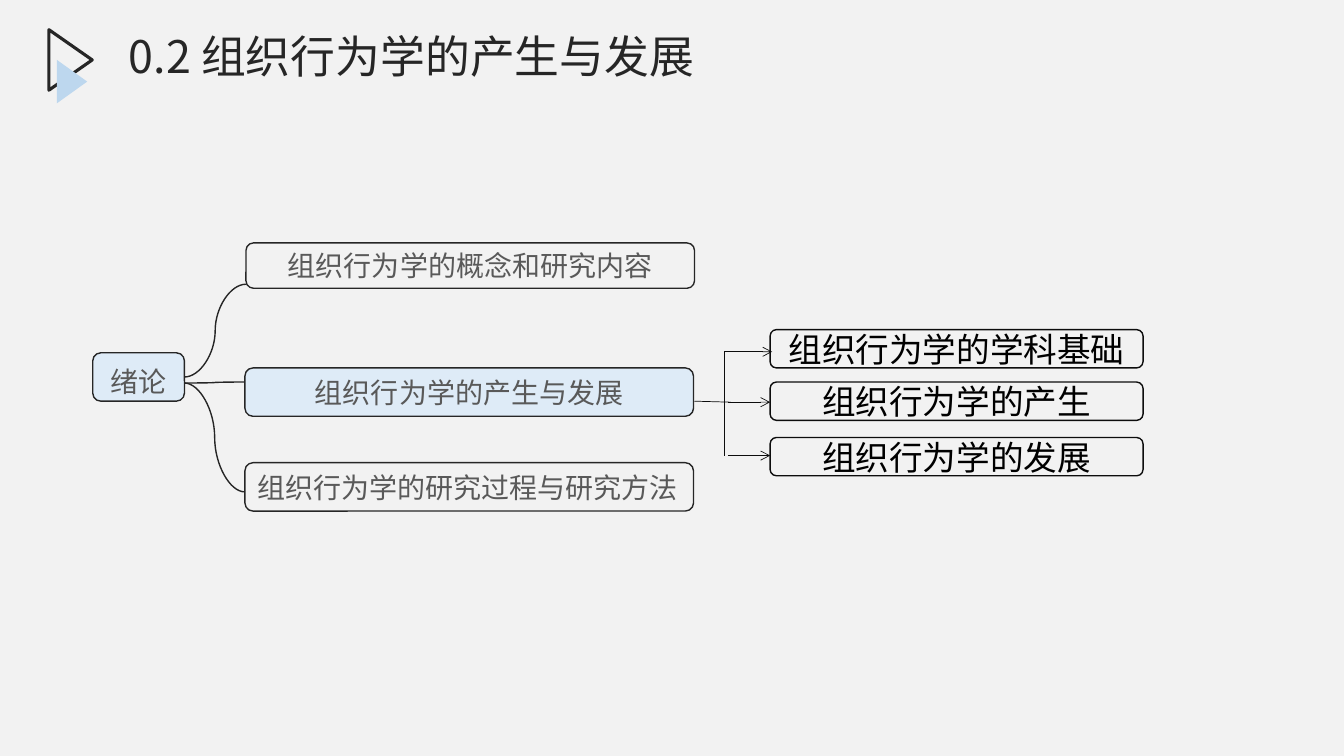
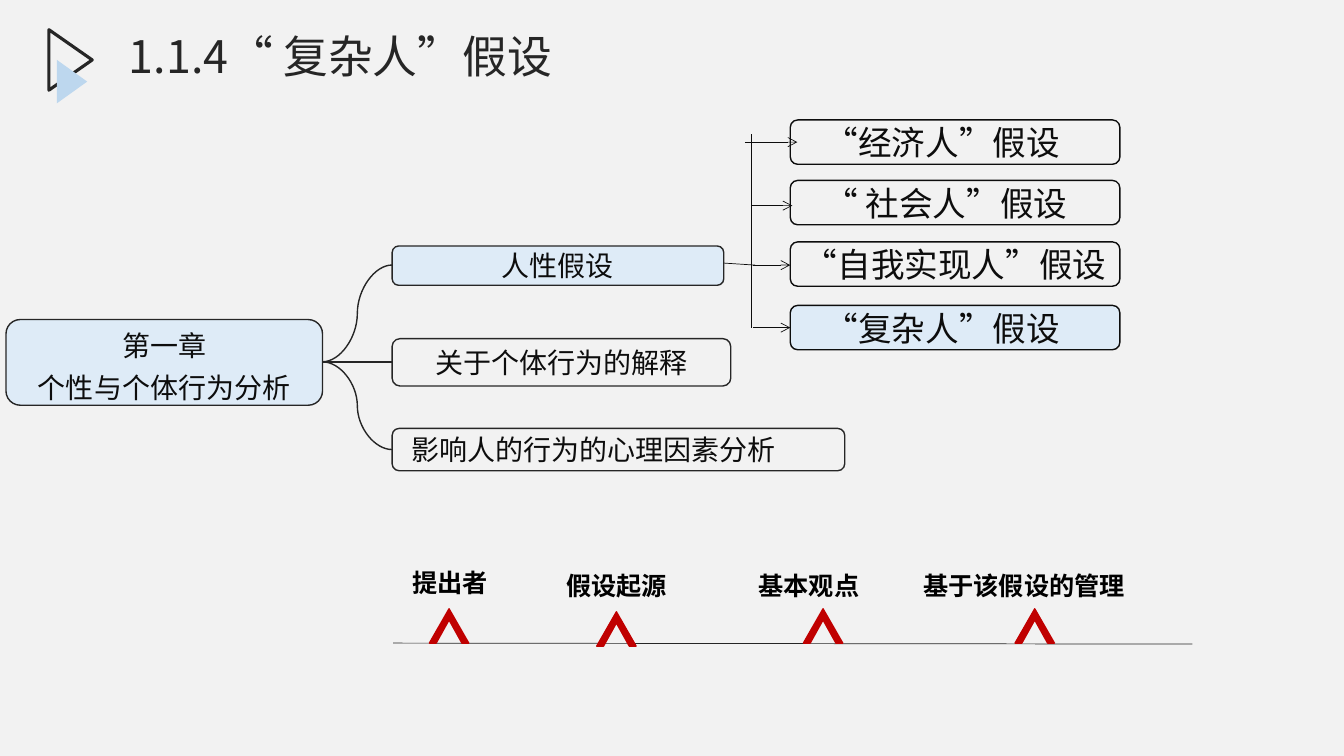
import dataclasses

import lxml.etree
import pptx
import pptx.dml.color
import pptx.enum.lang
import pptx.enum.shapes
import pptx.enum.text
import pptx.oxml.ns
import pptx.util

BACKDROP = pptx.dml.color.RGBColor(0xF2, 0xF2, 0xF2)
INK = pptx.dml.color.RGBColor(0x26, 0x26, 0x26)
NEAR_BLACK = pptx.dml.color.RGBColor(0x0D, 0x0D, 0x0D)
BLACK = pptx.dml.color.RGBColor(0, 0, 0)
GREY = pptx.dml.color.RGBColor(0x59, 0x59, 0x59)
SKY = pptx.dml.color.RGBColor(0xBD, 0xD7, 0xEE)
PALE_BLUE = pptx.dml.color.RGBColor(0xDE, 0xEB, 0xF7)
RED = pptx.dml.color.RGBColor(0xC0, 0, 0)
FONT = "Noto Sans CJK SC"
CELL = 0.1
COLUMNS, ROWS = 133.33, 75
INSET = 1
CENTER = pptx.enum.text.PP_ALIGN.CENTER
LEFT = pptx.enum.text.PP_ALIGN.LEFT
SHAPE = pptx.enum.shapes.MSO_SHAPE
ANCHOR = pptx.enum.text.MSO_ANCHOR
LINK = pptx.enum.shapes.MSO_CONNECTOR


@dataclasses.dataclass
class Box:
    """A region measured in grid cells."""
    left: float
    top: float
    width: float
    height: float

    def area(self, column, row, width, height):
        """Return a smaller box placed from this box's corner."""
        return Box(self.left + column, self.top + row, width, height)

    def point(self, column, row):
        """Return a slide position placed from this box's corner."""
        return cells(self.left + column), cells(self.top + row)

    def frame(self):
        """Return left, top, width and height as lengths."""
        return [cells(n) for n in (self.left, self.top, self.width, self.height)]


@dataclasses.dataclass
class Branch:
    """A topic of the tree and the rows where its curve leaves and arrives."""
    text: str
    place: tuple
    leave: float
    arrive: float
    filled: bool = False
    align: int = CENTER
    indent: float = 0


@dataclasses.dataclass
class Leaf:
    """A subtopic, with the start, end and row of its arrow."""
    text: str
    row: float
    arrow: tuple
    filled: bool = False
    align: int = CENTER
    indent: float = 0


def cells(count):
    """Turn a number of grid cells into a length."""
    return pptx.util.Inches(count * CELL)


def write(frame, text, size, color, align=LEFT, spacing=None, bold=False):
    """Fill a text frame and format all its runs."""
    frame.word_wrap = True
    frame.text = text
    for paragraph in frame.paragraphs:
        paragraph.alignment = align
        paragraph.line_spacing = spacing
        for run in paragraph.runs:
            run.font.size = pptx.util.Pt(size)
            run.font.bold = bold
            run.font.color.rgb = color
            run.font.name = FONT
            run.font.language_id = pptx.enum.lang.MSO_LANGUAGE_ID.SIMPLIFIED_CHINESE
            east_asian = lxml.etree.SubElement(
                run._r.get_or_add_rPr(), pptx.oxml.ns.qn("a:ea"))
            east_asian.set("typeface", FONT)


def paint(shape, fill=None, line=None, weight=1):
    """Set the fill and outline of a shape, leaving out what is not given."""
    shape.shadow.inherit = False
    if fill is None:
        shape.fill.background()
    else:
        shape.fill.solid()
        shape.fill.fore_color.rgb = fill
    if line is None:
        shape.line.fill.background()
    else:
        shape.line.color.rgb = line
        shape.line.width = pptx.util.Pt(weight)


def node(slide, box, item, size, color, line, spacing=None):
    """Draw a rounded topic box with its text."""
    shape = slide.shapes.add_shape(SHAPE.ROUNDED_RECTANGLE, *box.frame())
    paint(shape, PALE_BLUE if item.filled else None, line)
    frame = shape.text_frame
    frame.vertical_anchor = ANCHOR.MIDDLE
    frame.margin_left = cells(INSET + item.indent)
    write(frame, item.text, size, color, item.align, spacing)


def link(slide, start, end, kind=LINK.STRAIGHT, color=NEAR_BLACK, weight=0.5,
         arrow=False):
    """Draw a line, curve or arrow between two positions."""
    connector = slide.shapes.add_connector(kind, *start, *end)
    connector.line.color.rgb = color
    connector.line.width = pptx.util.Pt(weight)
    if arrow:
        tip = lxml.etree.SubElement(
            connector.get_or_add_ln(), pptx.oxml.ns.qn("a:tailEnd"))
        tip.set("type", "arrow")
    lxml.etree.SubElement(
        connector._element.spPr, pptx.oxml.ns.qn("a:effectLst"))


def header(slide, box, title):
    """Draw the two title triangles and the slide title."""
    marks = (((0, 0.8, 6, 4.3), None, INK), ((1, 3.6, 4.3, 3), SKY, None))
    for place, fill, line in marks:
        triangle = slide.shapes.add_shape(
            SHAPE.ISOSCELES_TRIANGLE, *box.area(*place).frame())
        triangle.rotation = 90
        paint(triangle, fill, line, 2.25)
    heading = slide.shapes.add_textbox(
        *box.area(7.8, 0, box.width - 7.8, box.height).frame())
    write(heading.text_frame, title, 32, INK, spacing=0.9)


def tree(slide, box, root, root_size, branches, color):
    """Draw a root topic with curves to its branches."""
    width, height = root_size
    root_row = (box.height - height) / 2
    node(slide, box.area(0, root_row, width, height), root, 20, color, INK,
         pptx.util.Pt(30))
    for branch in branches:
        link(slide, box.point(width, branch.leave),
             box.point(branch.place[0], branch.arrive), LINK.CURVE, INK, 1)
        node(slide, box.area(*branch.place), branch, 20, color, INK)


def fan(slide, box, leaves, leaf_column, leaf_height, spine, stem, color):
    """Draw a spine fed by a stem, with an arrow to each leaf."""
    column, first, last = spine
    link(slide, box.point(column, last), box.point(column, first))
    link(slide, box.point(0, stem[0]), box.point(*stem[1:]))
    for leaf in leaves:
        start, end, row = leaf.arrow
        link(slide, box.point(start, row), box.point(end, row), arrow=True)
        node(slide,
             box.area(leaf_column, leaf.row, box.width - leaf_column, leaf_height),
             leaf, 24, color, NEAR_BLACK)


def peak(slide, box):
    """Draw a red chevron that fills the box."""
    middle, thick, hollow = box.width / 2, 0.67, 1.1
    outline = [(middle, 0), (box.width, box.height),
               (box.width - thick, box.height), (middle, hollow),
               (thick, box.height), (0, box.height)]
    points = [box.point(*corner) for corner in outline]
    builder = slide.shapes.build_freeform(*points[0], scale=1.0)
    builder.add_line_segments(points[1:], close=True)
    paint(builder.convert_to_shape(), RED, RED)


def timeline(slide, box, milestones):
    """Draw a base line with a chevron and a label for each milestone."""
    link(slide, box.point(1.6, 11.1), box.point(box.width, 11.2), color=INK)
    for text, label_place, peak_column, peak_row in milestones:
        peak(slide, box.area(peak_column, peak_row, 3.9, 3.4))
        label = slide.shapes.add_textbox(*box.area(*label_place, 7.1).frame())
        label.text_frame.vertical_anchor = ANCHOR.BOTTOM
        write(label.text_frame, text, 18, BLACK, CENTER, bold=True)


def titled_slide(deck, title):
    """Add a blank slide with the shared header."""
    slide = deck.slides.add_slide(deck.slide_layouts[6])
    header(slide, Box(4, 3, 84.1, 8.9), title)
    return slide


def origin_slide(deck):
    """Build the slide on how the field arose and developed."""
    slide = titled_slide(deck, "0.2 组织行为学的产生与发展")
    tree(slide, Box(9.2, 24.1, 59.7, 26.6),
         Branch("绪论", (), 0, 0, True), (9.1, 4.8), (
             Branch("组织行为学的概念和研究内容", (15.2, 0, 44.5, 4.5), 13.3, 4.1),
             Branch("组织行为学的产生与发展", (15.1, 12.4, 44.5, 4.8), 13.9, 13.8,
                    True),
             Branch("组织行为学的研究过程与研究方法", (15.1, 21.8, 44.5, 4.8),
                    13.9, 24.7, align=LEFT)), GREY)
    fan(slide, Box(68.9, 32.7, 44.5, 14.5), (
        Leaf("组织行为学的学科基础", 0, (3, 7.7, 2.2)),
        Leaf("组织行为学的产生", 5.2, (3.3, 7.5, 7.2)),
        Leaf("组织行为学的发展", 10.7, (3.3, 7.5, 12.5))),
        7.5, 3.8, (3, 2.1, 12.5), (7.1, 3.6, 7.2), BLACK)


def complex_person_slide(deck):
    """Build the slide on the complex person assumption."""
    slide = titled_slide(deck, "1.1.4“ 复杂人”假设")
    tree(slide, Box(0.6, 24.4, 83.2, 23.1),
         Branch("第一章\n个性与个体行为分析", (), 0, 0, True), (31.4, 8.5), (
             Branch("人性假设", (38.3, 0, 32.9, 3.9), 11.5, 1.9, True),
             Branch("关于个体行为的解释", (38.3, 9.2, 33.6, 4.7), 11.5, 11.5),
             Branch("影响人的行为的心理因素分析", (38.3, 18.1, 44.9, 4.2),
                    11.5, 20.2, align=LEFT, indent=0.7)), NEAR_BLACK)
    fan(slide, Box(71.8, 11.9, 39.3, 22.8), (
        Leaf("“经济人”假设", 0, (2.1, 7.3, 2.2), align=LEFT, indent=2.2),
        Leaf("“ 社会人”假设", 6, (2.7, 6.8, 8.5), align=LEFT, indent=2.2),
        Leaf("“自我实现人”假设", 12.1, (2.9, 6.6, 14.4)),
        Leaf("“复杂人”假设", 18.4, (2.9, 6.6, 20.6), True, LEFT, 2.2)),
        6.6, 4.4, (2.7, 1.4, 20.6), (14.2, 3.1, 14.4), NEAR_BLACK)
    timeline(slide, Box(37.4, 52.7, 80.9, 11.4), (
        ("提出者", (0, 0, 14.5), 5.2, 7.7),
        ("假设起源", (16.5, 0.3, 14.5), 21.8, 8),
        ("基本观点", (35.6, 0.3, 14.5), 42.3, 7.7),
        ("基于该假设的管理", (52.7, 0.3, 23), 63.3, 7.7)))


def main():
    """Build and save the deck."""
    deck = pptx.Presentation()
    deck.slide_width, deck.slide_height = cells(COLUMNS), cells(ROWS)
    backdrop = deck.slide_master.background.fill
    backdrop.solid()
    backdrop.fore_color.rgb = BACKDROP
    origin_slide(deck)
    complex_person_slide(deck)
    deck.save("out.pptx")


if __name__ == "__main__":
    main()
